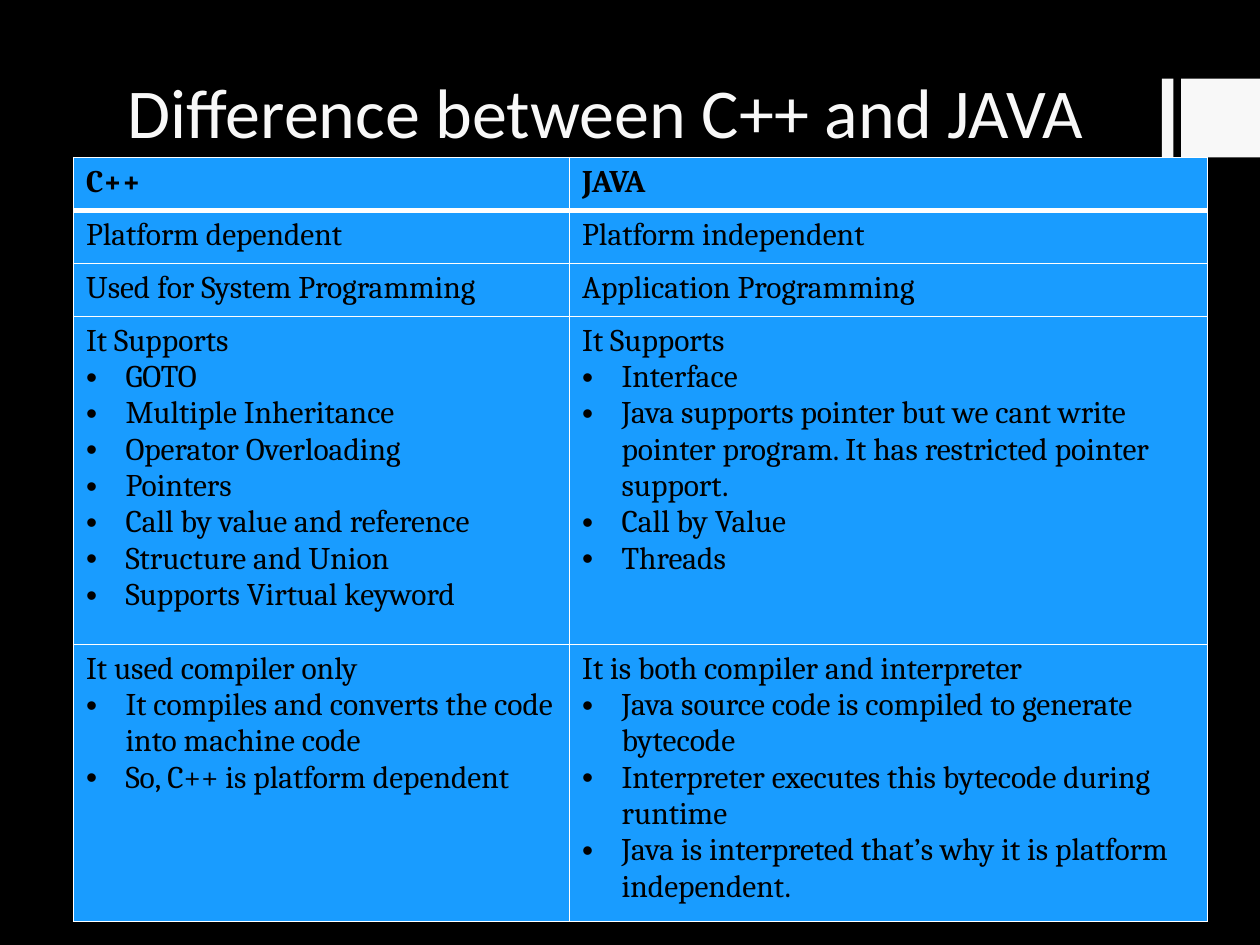
import pptx
import pptx.dml.color
import pptx.enum.shapes
import pptx.enum.text
import pptx.oxml.ns
import pptx.util
from dataclasses import dataclass
from lxml import etree

Pt = pptx.util.Pt


@dataclass(frozen=True)
class Theme:
    """Colours, fonts and type sizes of the slide."""
    background: str = "000000"
    light: str = "F8F8F8"
    ink: str = "000000"
    cell: str = "199CFF"
    rule: str = "FFFFFF"
    title_font: str = "Calibri"
    body_font: str = "Cambria"
    title_size: float = 40
    body_size: float = 18
    thin: float = 1
    thick: float = 3
    indent: float = 22.5


THEME = Theme()

# Each cell is a lead line followed by its bullets.
ROWS = [
    (30.3, ["C++"], ["JAVA"]),
    (30.3, ["Platform dependent"], ["Platform independent"]),
    (30.3, ["Used for System Programming"], ["Application Programming"]),
    (187.4,
     ["It Supports", "GOTO", "Multiple Inheritance", "Operator Overloading",
      "Pointers", "Call by value and reference", "Structure and Union",
      "Supports Virtual keyword"],
     ["It Supports", "Interface",
      "Java supports pointer but we cant write pointer program. "
      "It has restricted pointer support.",
      "Call by Value", "Threads"]),
    (152.9,
     ["It used compiler only",
      "It compiles and converts the code into machine code",
      "So, C++ is platform dependent"],
     ["It is both compiler and interpreter",
      "Java source code is compiled to generate bytecode",
      "Interpreter executes this bytecode during runtime",
      "Java is interpreted that\u2019s why it is platform independent."]),
]


def rgb(value):
    """Return a colour object for a hex string."""
    return pptx.dml.color.RGBColor.from_string(value)


def sub(parent, tag, **attrs):
    """Append a DrawingML element with attributes."""
    return etree.SubElement(parent, pptx.oxml.ns.qn(tag), **attrs)


def write(p, text, *, font=THEME.body_font, size=THEME.body_size,
          color=THEME.ink, bold=False, bullet=False):
    """Write formatted text into a paragraph."""
    r = p.add_run()
    r.text = text
    r.font.name, r.font.size, r.font.bold = font, Pt(size), bold
    r.font.color.rgb = rgb(color)
    if bullet:
        pPr = p._p.get_or_add_pPr()
        indent = Pt(THEME.indent)
        pPr.set("marL", str(indent))
        pPr.set("indent", str(-indent))
        sub(pPr, "a:buFont", typeface="Arial")
        sub(pPr, "a:buChar", char="\u2022")


def add_title(s, text, left, top, width, height):
    """Place the bottom-anchored title in its box."""
    tf = s.shapes.add_textbox(Pt(left), Pt(top), Pt(width), Pt(height)).text_frame
    tf.word_wrap = True
    tf.vertical_anchor = pptx.enum.text.MSO_ANCHOR.BOTTOM
    write(tf.paragraphs[0], text, font=THEME.title_font,
          size=THEME.title_size, color=THEME.light)


def add_corner_mark(s, left, top, width, height):
    """Place a thin bar and a square that fill the box at the right edge."""
    bar = 6.6
    for x, w in ((left, bar), (left + width - height, height)):
        sp = s.shapes.add_shape(pptx.enum.shapes.MSO_SHAPE.RECTANGLE,
                                Pt(x), Pt(top), Pt(w), Pt(height))
        sp.shadow.inherit = False
        sp.fill.solid()
        sp.fill.fore_color.rgb = rgb(THEME.light)
        sp.line.fill.background()


def style_cell(cell, row):
    """Give a cell its rules and fill, with a thick rule below the header."""
    tcPr = cell._tc.get_or_add_tcPr()
    thick_side = {0: "B", 1: "T"}.get(row)
    for side in "LRTB":
        width = THEME.thick if side == thick_side else THEME.thin
        ln = sub(tcPr, f"a:ln{side}", w=str(Pt(width)))
        sub(sub(ln, "a:solidFill"), "a:srgbClr", val=THEME.rule)
    cell.fill.solid()
    cell.fill.fore_color.rgb = rgb(THEME.cell)


def add_comparison(s, rows, left, top, width, first_width):
    """Place the two-column comparison table."""
    height = sum(row[0] for row in rows)
    table = s.shapes.add_table(len(rows), 2, Pt(left), Pt(top),
                               Pt(width), Pt(height)).table
    table.horz_banding = False
    for column, w in zip(table.columns, (first_width, width - first_width)):
        column.width = Pt(w)
    for i, (row_height, *cells) in enumerate(rows):
        table.rows[i].height = Pt(row_height)
        for j, lines in enumerate(cells):
            cell = table.cell(i, j)
            style_cell(cell, i)
            tf = cell.text_frame
            for k, line in enumerate(lines):
                p = tf.add_paragraph() if k else tf.paragraphs[0]
                write(p, line, bold=i == 0, bullet=k > 0)


def build():
    """Build and save the slide."""
    prs = pptx.Presentation()
    prs.slide_width, prs.slide_height = Pt(720), Pt(540)
    s = prs.slides.add_slide(prs.slide_layouts[6])
    s.background.fill.solid()
    s.background.fill.fore_color.rgb = rgb(THEME.background)
    add_corner_mark(s, 664, 45, 56, 45)
    add_title(s, "Difference between C++ and JAVA", 66, 0, 576, 90.5)
    add_comparison(s, ROWS, 42, 90, 648, 283.5)
    prs.save("out.pptx")


build()
